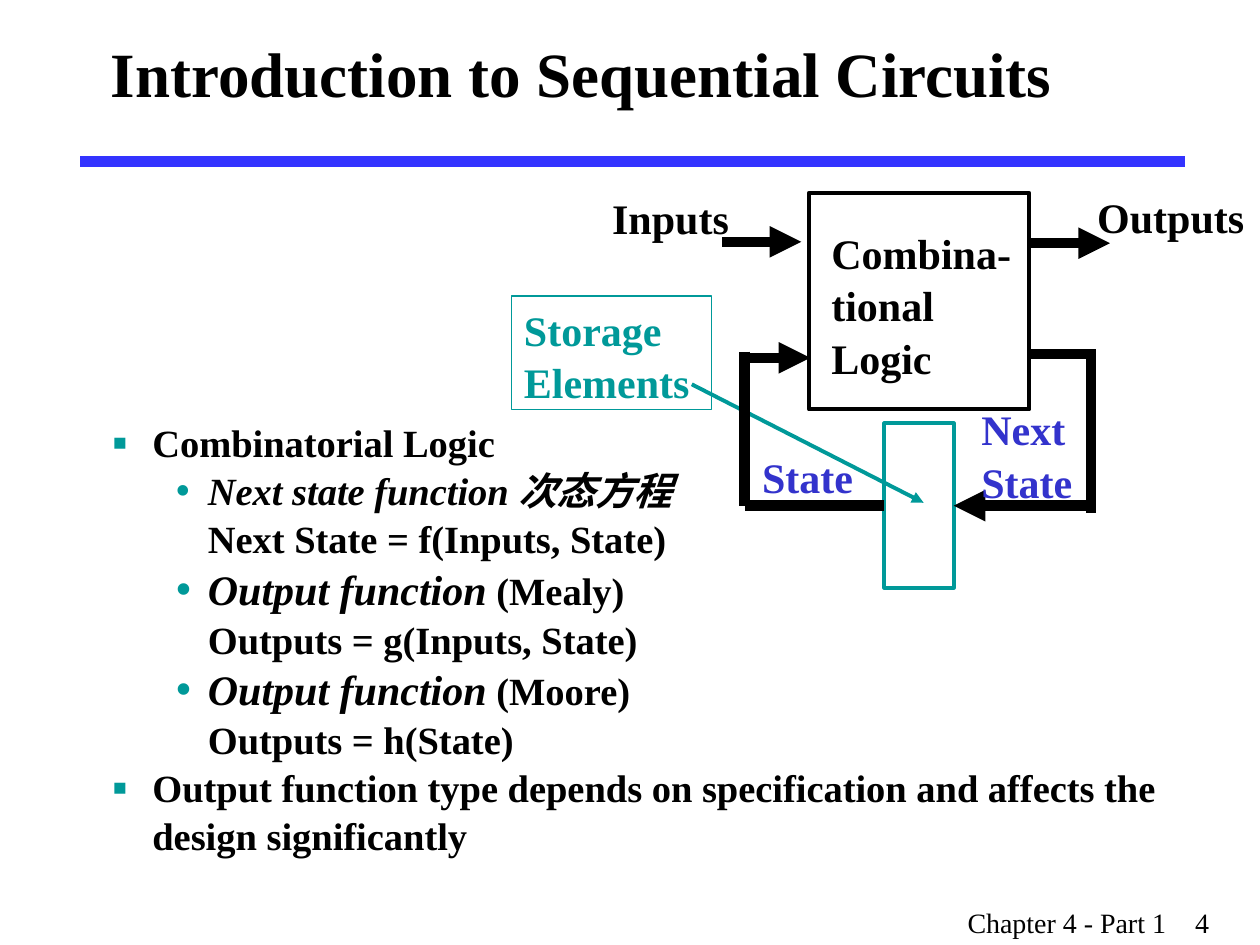
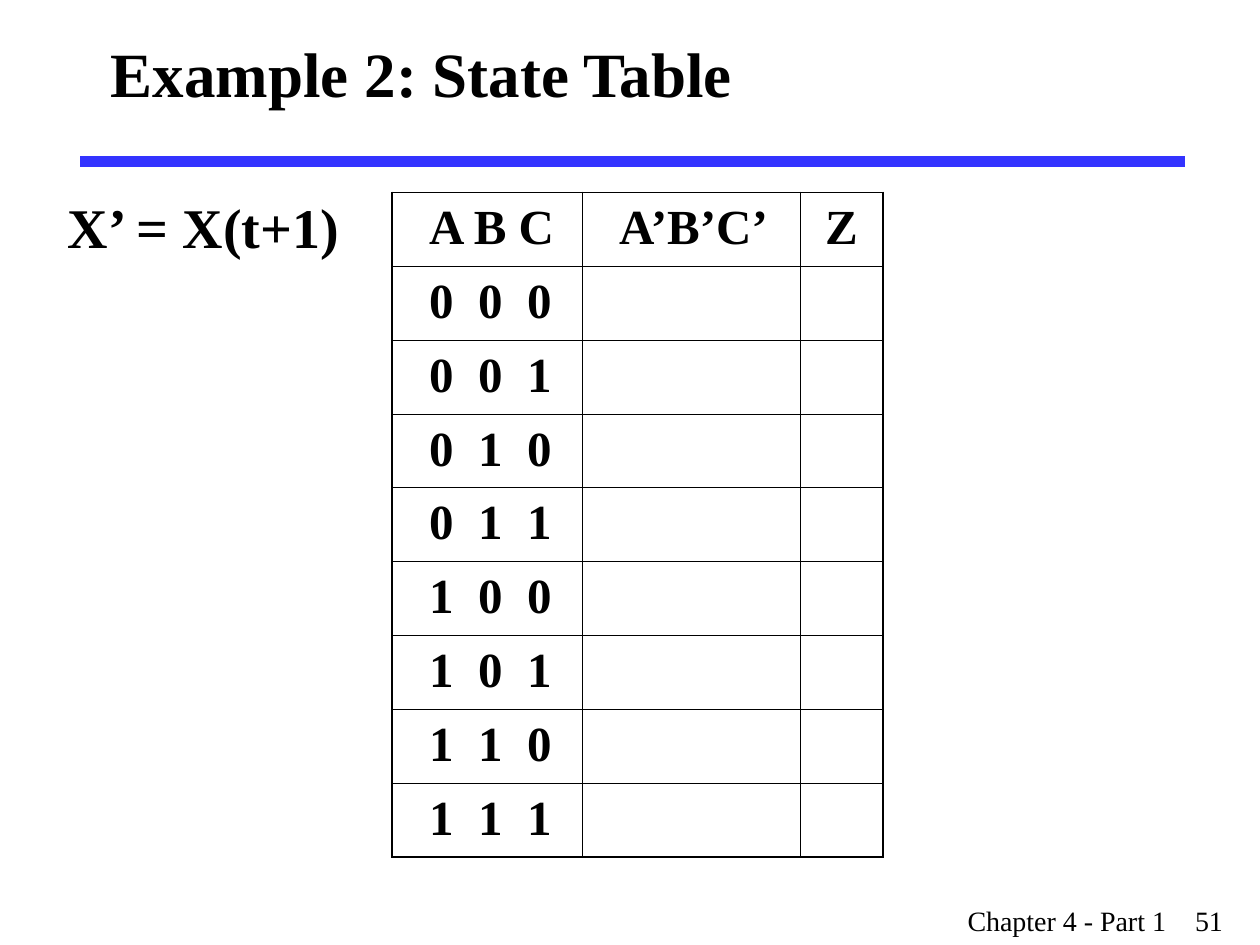
"""Build two slides on sequential circuits: a block diagram and a state table."""
import dataclasses

import lxml.etree
import pptx
import pptx.dml.color
import pptx.enum.shapes
import pptx.enum.text
import pptx.oxml.ns
import pptx.util

Pt = pptx.util.Pt
qn = pptx.oxml.ns.qn


@dataclasses.dataclass(frozen=True)
class Theme:
    font: str = "Times New Roman"
    black: str = "000000"
    teal: str = "009999"
    violet: str = "3333CC"
    rule: str = "3333FF"
    title: int = 36
    formula: int = 32
    table: int = 28
    label: int = 24
    body: int = 22
    footer: int = 16
    wire: float = 6
    outline: float = 2.25
    line_spacing: float = 1.04


theme = Theme()


def style_text(text_frame, text, size, color=theme.black, bold=True):
    text_frame.text = text
    text_frame.word_wrap = True
    for paragraph in text_frame.paragraphs:
        paragraph.alignment = pptx.enum.text.PP_ALIGN.LEFT
        paragraph.line_spacing = theme.line_spacing
        for run in paragraph.runs:
            run.font.name = theme.font
            run.font.size = Pt(size)
            run.font.bold = bold
            run.font.color.rgb = pptx.dml.color.RGBColor.from_string(color)


def add_line(slide, start, end, color=theme.black, width=theme.wire, arrow=False):
    line = slide.shapes.add_connector(
        pptx.enum.shapes.MSO_CONNECTOR.STRAIGHT, *map(Pt, start + end))
    line.line.color.rgb = pptx.dml.color.RGBColor.from_string(color)
    line.line.width = Pt(width)
    if arrow:
        outline = line.line._get_or_add_ln()
        lxml.etree.SubElement(outline, qn("a:tailEnd"), type="triangle")
    lxml.etree.SubElement(line._element.spPr, qn("a:effectLst"))
    return line


presentation = pptx.Presentation()
presentation.slide_width = Pt(720)
presentation.slide_height = Pt(540)

slides = []
for layout_index, title, number, footer_top in [
    (1, "Introduction to Sequential Circuits", 4, 513.4),
    (5, "Example 2: State Table", 51, 512),
]:
    slide = presentation.slides.add_slide(presentation.slide_layouts[layout_index])
    add_line(slide, (46, 92.2), (677, 92.2), theme.rule)
    heading = slide.shapes.title
    heading.left, heading.top, heading.width, heading.height = map(Pt, (56.2, 0, 612, 80.6))
    style_text(heading.text_frame, title, theme.title)
    heading.text_frame.auto_size = pptx.enum.text.MSO_AUTO_SIZE.NONE
    heading.text_frame.vertical_anchor = pptx.enum.text.MSO_ANCHOR.MIDDLE
    footer = slide.shapes.add_textbox(*map(Pt, (545.8, footer_top, 174.2, 26.6)))
    style_text(footer.text_frame, f"Chapter 4 - Part 1\t{number}", theme.footer, bold=False)
    properties = footer.text_frame.paragraphs[0]._p.get_or_add_pPr()
    tabs = lxml.etree.SubElement(properties, qn("a:tabLst"))
    lxml.etree.SubElement(tabs, qn("a:tab"), pos=str(Pt(130)), algn="l")
    slides.append(slide)

circuit_slide, table_slide = slides

body = circuit_slide.placeholders[1]
body.left, body.top, body.width, body.height = map(Pt, (56.9, 235, 612, 264.7))
body.text_frame.auto_size = pptx.enum.text.MSO_AUTO_SIZE.NONE
body_levels = [("▪", 23, -23), ("•", 54.7, -18.7)]
body_items = [
    (0, [[("Combinatorial Logic", theme.body, False)]]),
    (1, [[("Next state function 次态方程", theme.body, True)],
         [("Next State = f(Inputs, State)", theme.body, False)]]),
    (1, [[("Output function", theme.label, True), (" (Mealy)", theme.body, False)],
         [("Outputs = g(Inputs, State)", theme.body, False)]]),
    (1, [[("Output function", theme.label, True), (" (Moore)", theme.body, False)],
         [("Outputs = h(State)", theme.body, False)]]),
    (0, [[("Output function type depends on specification and affects the design significantly",
           theme.body, False)]]),
]
for index, (level, lines) in enumerate(body_items):
    paragraph = body.text_frame.paragraphs[0] if index == 0 else body.text_frame.add_paragraph()
    paragraph.level = level
    bullet, margin, indent = body_levels[level]
    properties = paragraph._p.get_or_add_pPr()
    properties.set("marL", str(Pt(margin)))
    properties.set("indent", str(Pt(indent)))
    bullet_color = lxml.etree.SubElement(properties, qn("a:buClr"))
    lxml.etree.SubElement(bullet_color, qn("a:srgbClr"), val=theme.teal)
    lxml.etree.SubElement(properties, qn("a:buSzPct"), val="115000")
    lxml.etree.SubElement(properties, qn("a:buFont"), typeface=theme.font)
    lxml.etree.SubElement(properties, qn("a:buChar"), char=bullet)
    paragraph.space_before = Pt(0)
    paragraph.line_spacing = theme.line_spacing
    for line_index, line in enumerate(lines):
        if line_index:
            paragraph.add_line_break()
        for text, size, italic in line:
            run = paragraph.add_run()
            run.text = text
            run.font.name = theme.font
            run.font.size = Pt(size)
            run.font.bold = True
            run.font.italic = italic
            run.font.color.rgb = pptx.dml.color.RGBColor.from_string(theme.black)
    for line_break in paragraph._p.findall(qn("a:br")):
        lxml.etree.SubElement(line_break, qn("a:rPr"), sz=str(theme.body * 100))

boxes = []
for bounds, color, width in [
    ((462.2, 110.2, 126, 123.8), theme.black, theme.outline),
    ((505.4, 242, 39.6, 94), theme.teal, theme.outline),
    ((292.3, 169.2, 114.5, 64.8), theme.teal, 0.75),
]:
    box = circuit_slide.shapes.add_shape(
        pptx.enum.shapes.MSO_SHAPE.RECTANGLE, *map(Pt, bounds))
    box.shadow.inherit = False
    box.fill.background()
    box.line.color.rgb = pptx.dml.color.RGBColor.from_string(color)
    box.line.width = Pt(width)
    boxes.append(box)
logic_box, storage_box, storage_caption = boxes
style_text(storage_caption.text_frame, "Storage Elements", theme.label, theme.teal)
storage_caption.text_frame.vertical_anchor = pptx.enum.text.MSO_ANCHOR.TOP

add_line(circuit_slide, (395.3, 219.6), (527.8, 287.3), theme.teal, theme.outline, arrow=True)
for start, end, arrow in [
    ((412.6, 138.2), (457.9, 138.2), True),
    ((589, 139), (634.3, 139), True),
    ((425, 204.5), (463, 204.5), True),
    ((425.5, 200.9), (425.5, 289.4), False),
    ((588.2, 202.3), (626.4, 202.3), False),
    ((623.5, 203), (623.5, 293), False),
]:
    add_line(circuit_slide, start, end, arrow=arrow)
state_wire = add_line(circuit_slide, (425.5, 289), (505.4, 289))
state_wire.end_connect(storage_box, 1)
next_state_wire = add_line(circuit_slide, (620.6, 289), (545, 289), arrow=True)
next_state_wire.end_connect(storage_box, 3)

for slide, text, bounds, size, color in [
    (circuit_slide, "Combina-tional\nLogic", (468, 125.3, 117.4, 93.6), theme.label, theme.black),
    (circuit_slide, "Inputs", (342.7, 105.1, 82.8, 36), theme.label, theme.black),
    (circuit_slide, "Outputs", (619.9, 104.8, 100.1, 36), theme.label, theme.black),
    (circuit_slide, "State", (428.4, 253.4, 67.7, 36), theme.label, theme.violet),
    (circuit_slide, "Next\nState", (553.7, 226.1, 77.8, 64.8), theme.label, theme.violet),
    (table_slide, "X’ = X(t+1)", (31.7, 105.1, 182.9, 46), theme.formula, theme.black),
]:
    label = slide.shapes.add_textbox(*map(Pt, bounds))
    style_text(label.text_frame, text, size, color)

rows = [("A B C", "A’B’C’", "Z")]
rows += [("\t".join(f"{state:03b}"), "", "") for state in range(8)]
columns = [(108.7, 21.2), (124.6, 21.2), (47.5, 14.2)]
row_height = 40.85
state_table = table_slide.shapes.add_table(
    len(rows), len(columns), Pt(224), Pt(110),
    Pt(sum(width for width, margin in columns)), Pt(row_height * len(rows))).table
state_table.first_row = False
state_table.horz_banding = False
for column, (width, margin) in zip(state_table.columns, columns):
    column.width = Pt(width)
for row_index, texts in enumerate(rows):
    state_table.rows[row_index].height = Pt(row_height)
    for column_index, text in enumerate(texts):
        cell = state_table.cell(row_index, column_index)
        cell.margin_left = Pt(columns[column_index][1])
        style_text(cell.text_frame, text, theme.table)
        if "\t" in text:
            properties = cell.text_frame.paragraphs[0]._p.get_or_add_pPr()
            tabs = lxml.etree.SubElement(properties, qn("a:tabLst"))
            for stop in (28, 56):
                lxml.etree.SubElement(tabs, qn("a:tab"), pos=str(Pt(stop)), algn="l")
        cell_properties = cell._tc.get_or_add_tcPr()
        for side, is_outer in [
            ("L", column_index == 0),
            ("R", column_index == len(columns) - 1),
            ("T", row_index == 0),
            ("B", row_index == len(rows) - 1),
        ]:
            border = lxml.etree.SubElement(
                cell_properties, qn(f"a:ln{side}"), w=str(Pt(1.08 if is_outer else 0.45)))
            fill = lxml.etree.SubElement(border, qn("a:solidFill"))
            lxml.etree.SubElement(fill, qn("a:srgbClr"), val=theme.black)
        cell.fill.background()

presentation.save("out.pptx")
